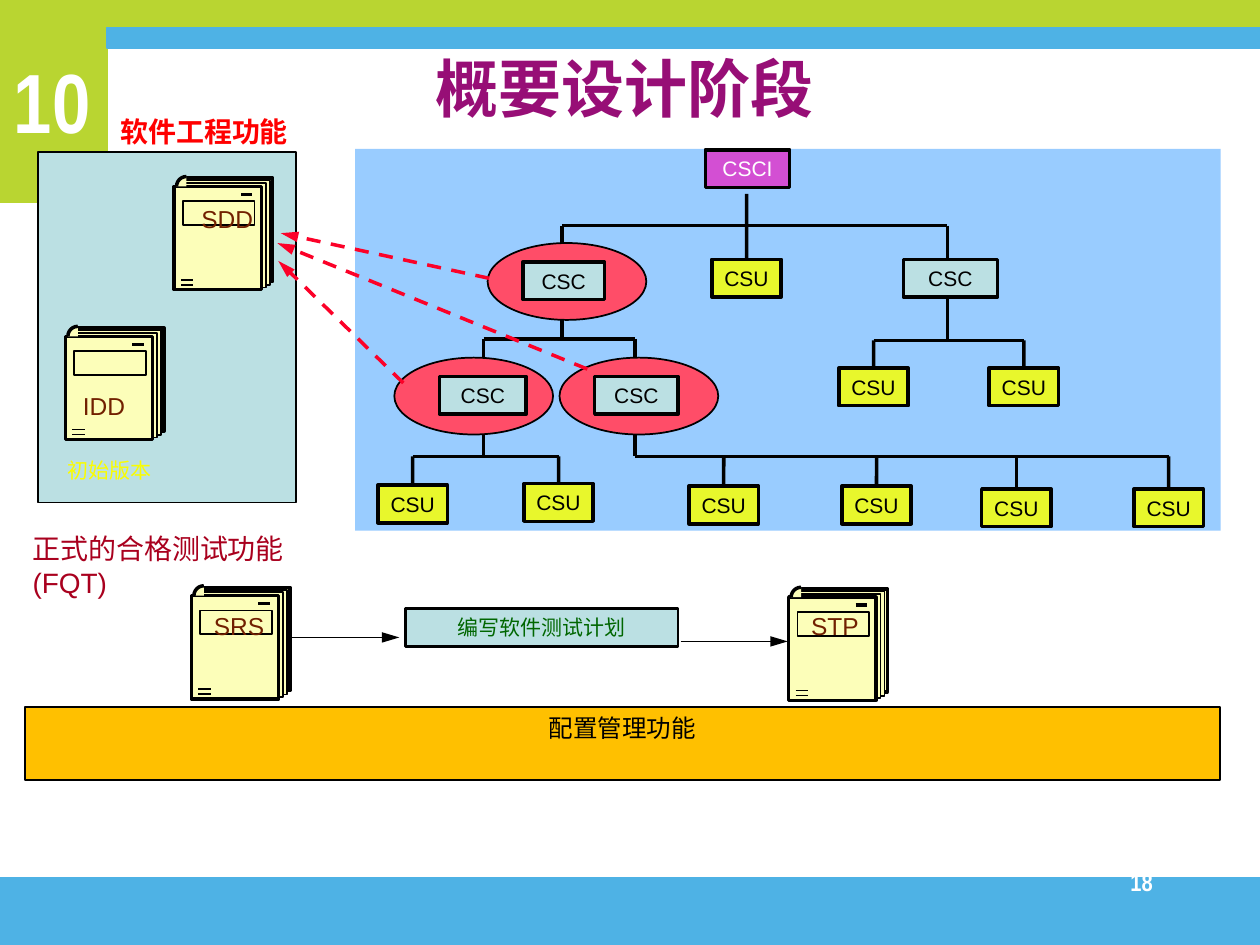
"""Build the preliminary design phase slide."""
import math

from pptx import Presentation
from pptx.dml.color import RGBColor
from pptx.enum.dml import MSO_LINE
from pptx.enum.shapes import MSO_CONNECTOR, MSO_SHAPE
from pptx.enum.text import MSO_ANCHOR, PP_ALIGN
from pptx.oxml.ns import qn
from pptx.util import Cm, Pt
from lxml import etree

RECTANGLE, OVAL = MSO_SHAPE.RECTANGLE, MSO_SHAPE.OVAL
STRAIGHT, DASH = MSO_CONNECTOR.STRAIGHT, MSO_LINE.DASH
TOP, MIDDLE = MSO_ANCHOR.TOP, MSO_ANCHOR.MIDDLE
LEFT, CENTER, RIGHT = PP_ALIGN.LEFT, PP_ALIGN.CENTER, PP_ALIGN.RIGHT

BLACK = RGBColor(0x00, 0x00, 0x00)
WHITE = RGBColor(0xFF, 0xFF, 0xFF)
LIME = RGBColor(0xB9, 0xD5, 0x31)
SKY = RGBColor(0x4E, 0xB2, 0xE5)
AMBER = RGBColor(0xFF, 0xC0, 0x00)
PLUM = RGBColor(0x97, 0x0E, 0x76)
RED = RGBColor(0xFF, 0x00, 0x00)
CRIMSON = RGBColor(0xA9, 0x00, 0x1E)
BROWN = RGBColor(0x71, 0x20, 0x00)
GREEN = RGBColor(0x00, 0x66, 0x00)
BRIGHT_YELLOW = RGBColor(0xFA, 0xFD, 0x00)
PAPER = RGBColor(0xFC, 0xFE, 0xB9)
PALE_TEAL = RGBColor(0xBB, 0xE0, 0xE3)
PALE_BLUE = RGBColor(0x99, 0xCC, 0xFF)
ORCHID = RGBColor(0xD3, 0x4F, 0xD3)
YELLOW = RGBColor(0xE8, 0xF7, 0x2C)
ROSE = RGBColor(0xFF, 0x4D, 0x68)
ARROW_RED = RGBColor(0xFC, 0x01, 0x28)

BOX_HEIGHT, CSU_WIDTH = 0.76, 1.4
FIRST_BUS, LEFT_BUS, RIGHT_BUS, LAST_BUS = 4.55, 6.83, 6.86, 9.2


def write_text(shape, text, size, color, align=LEFT, wrap=True, anchor=TOP,
               name="Arial", bold=False):
    """Put one formatted paragraph into a shape."""
    frame = shape.text_frame
    frame.word_wrap = wrap
    frame.vertical_anchor = anchor
    paragraph = frame.paragraphs[0]
    paragraph.alignment = align
    run = paragraph.add_run()
    run.text = text
    font_format = {"size": Pt(size), "name": name, "bold": bold}
    for attribute, value in font_format.items():
        setattr(run.font, attribute, value)
    run.font.color.rgb = color


def add_label(slide, left, top, width, height, text, size, color, **options):
    """Add a text box."""
    box = slide.shapes.add_textbox(Cm(left), Cm(top), Cm(width), Cm(height))
    write_text(box, text, size, color, **options)


def paint(shape, fill=None, line=None, weight=1):
    """Set the fill and outline of a shape and drop its shadow."""
    shape.shadow.inherit = False
    if fill is None:
        shape.fill.background()
    else:
        shape.fill.solid()
        shape.fill.fore_color.rgb = fill
    if line is None:
        shape.line.fill.background()
    else:
        shape.line.color.rgb = line
        shape.line.width = Pt(weight)


def add_block(slide, left, top, width, height, fill, line=BLACK, weight=1, kind=RECTANGLE):
    """Add a filled preset shape."""
    shape = slide.shapes.add_shape(kind, Cm(left), Cm(top), Cm(width), Cm(height))
    paint(shape, fill, line, weight)
    return shape


def add_box(slide, left, top, width, text, fill, color=BLACK, weight=2):
    """Add a captioned box of the common height."""
    box = add_block(slide, left, top, width, BOX_HEIGHT, fill, weight=weight)
    write_text(box, text, 12, color, align=CENTER, wrap=False)
    return box


def add_line(slide, start_x, start_y, end_x, end_y, color=BLACK, weight=2,
             arrow=False, dash=None):
    """Add a straight connector, with an arrowhead if wanted."""
    connector = slide.shapes.add_connector(
        STRAIGHT, Cm(start_x), Cm(start_y), Cm(end_x), Cm(end_y))
    connector.line.color.rgb = color
    connector.line.width = Pt(weight)
    if dash is not None:
        connector.line.dash_style = dash
    if arrow:
        outline = connector.line._get_or_add_ln()
        etree.SubElement(outline, qn("a:tailEnd"), type="triangle", len="lg")
    etree.SubElement(connector._element.spPr, qn("a:effectLst"))
    return connector


def add_csu(slide, center, top, line_top):
    """Add a CSU box with the line that drops to it."""
    box = add_box(slide, center - CSU_WIDTH / 2, top, CSU_WIDTH, "CSU", YELLOW)
    add_line(slide, center, line_top, center, top).end_connect(box, 0)


def add_curl(slide, left, top, radius=0.2):
    """Add the rounded page corner of a document."""
    angles = [math.radians(step * 15) for step in range(7)]
    arc = [(Cm(left + radius * (1 - math.cos(angle))),
            Cm(top + radius * (1 - math.sin(angle)))) for angle in angles]
    corner = (Cm(left + radius), Cm(top + radius))
    for points, closed, colors in (
            (arc + [corner], True, {"fill": PAPER}),
            (arc, False, {"line": BLACK, "weight": 2})):
        builder = slide.shapes.build_freeform(*points[0])
        builder.add_line_segments(points[1:], close=closed)
        paint(builder.convert_to_shape(), **colors)


def add_document(slide, left, top, text, label_x, label_y):
    """Add a stack of pages with a title window and a label."""
    pages = ((0.23, 0.03, 1.76, 2.08, 2), (0.13, 0.08, 1.8, 2.11, 1),
             (0.05, 0.13, 1.8, 2.11, 1), (0, 0.2, 1.76, 2.08, 2),
             (0.18, 0.5, 1.44, 0.48, 1))
    for x, y, width, height, weight in pages:
        add_block(slide, left + x, top + y, width, height, PAPER, weight=weight)
    add_curl(slide, left + 0.05, top)
    for x, y, length, weight in ((0.14, 2.18, 0.25, 1), (0.14, 2.08, 0.25, 1),
                                 (1.35, 0.36, 0.23, 2)):
        add_line(slide, left + x, top + y, left + x + length, top + y, weight=weight)
    add_label(slide, left + label_x, top + label_y, 1.9, 0.84, text, 14, BROWN, wrap=False)


def add_background(slide):
    """Add the coloured bands, the chapter number and the page number."""
    add_block(slide, 0, 0, 25.4, 4.06, LIME, LIME, 2)
    add_block(slide, 0, 17.7, 25.4, 1.35, SKY, SKY, 0.75)
    add_block(slide, 2.18, 0.94, 23.22, 3.4, WHITE, None)
    add_block(slide, 2.16, 0.56, 23.24, 0.41, SKY, SKY, 0.75)
    number = {"name": "Arial Narrow", "bold": True}
    add_label(slide, 0, 0.88, 2.11, 2.29, "10", 48, WHITE, align=CENTER, wrap=False, **number)
    add_label(slide, 18.21, 17.35, 5.28, 1.27, "18", 14, WHITE, align=RIGHT, **number)


def add_title(slide, text):
    """Place the title in front of the background."""
    title = slide.shapes.title
    slide.shapes.element.append(title.element)
    place = {"left": Cm(8.53), "top": Cm(0.86), "width": Cm(12.27), "height": Cm(1.8)}
    for attribute, value in place.items():
        setattr(title, attribute, value)
    write_text(title, text, 36, PLUM, anchor=MIDDLE, bold=True)


def add_component_tree(slide):
    """Add the tree of software components."""
    add_block(slide, 7.16, 3, 17.45, 7.7, PALE_BLUE, None)
    add_box(slide, 14.22, 3.02, 1.7, "CSCI", ORCHID, WHITE)
    for left, right, y in ((11.33, 19.1, FIRST_BUS), (9.75, 12.8, LEFT_BUS),
                           (17.61, 20.64, RIGHT_BUS), (8.32, 11.26, LAST_BUS),
                           (12.8, 23.56, LAST_BUS)):
        add_line(slide, left, y, right, y)
    for x, top, bottom in ((11.33, FIRST_BUS, LEFT_BUS), (19.1, FIRST_BUS, RIGHT_BUS),
                           (9.75, LEFT_BUS, LAST_BUS), (12.8, LEFT_BUS, LAST_BUS)):
        add_line(slide, x, top, x, bottom)
    for center, top, line_top in (
            (15.05, 5.23, 3.91), (17.61, 7.42, RIGHT_BUS), (20.64, 7.42, RIGHT_BUS),
            (8.32, 9.78, LAST_BUS), (11.26, 9.75, LAST_BUS), (14.59, 9.8, LAST_BUS),
            (17.67, 9.8, LAST_BUS), (20.49, 9.86, LAST_BUS), (23.56, 9.86, LAST_BUS)):
        add_csu(slide, center, top, line_top)
    for left, top in ((9.83, 4.9), (11.28, 7.21), (7.95, 7.21)):
        add_block(slide, left, top, 3.2, 1.55, ROSE, kind=OVAL)
    for left, top, width in ((18.21, 5.23, 1.9), (10.54, 5.28, 1.65),
                             (11.99, 7.59, 1.68), (8.86, 7.59, 1.75)):
        add_box(slide, left, top, width, "CSC", PALE_TEAL)


def main():
    """Build and save the presentation."""
    presentation = Presentation()
    presentation.slide_width, presentation.slide_height = Cm(25.4), Cm(19.05)
    slide = presentation.slides.add_slide(presentation.slide_layouts[5])
    add_background(slide)
    add_title(slide, "概要设计阶段")
    bar = add_block(slide, 0.51, 14.25, 24.08, 1.47, AMBER)
    write_text(bar, "配置管理功能", 14, BLACK, align=CENTER)
    add_block(slide, 0.76, 3.07, 5.21, 7.06, PALE_TEAL)
    add_component_tree(slide)
    for document in ((15.9, 11.84, "STP", 0.2, 0.36), (3.86, 11.81, "SRS", 0.2, 0.38),
                     (3.51, 3.56, "SDD", 0.3, 0.43), (1.32, 6.58, "IDD", 0.1, 1.17)):
        add_document(slide, *document)
    add_box(slide, 8.18, 12.27, 5.49, "编写软件测试计划", PALE_TEAL, GREEN, 1.5)
    add_label(slide, 2.18, 2.18, 3.94, 0.94, "软件工程功能", 16, RED, wrap=False, bold=True)
    add_label(slide, 0.41, 10.59, 6.35, 1.6, "正式的合格测试功能 (FQT)", 16, CRIMSON)
    add_label(slide, 1.12, 9.09, 2.3, 0.76, "初始版本", 12, BRIGHT_YELLOW, wrap=False)
    for x, y in ((5.89, 12.85), (13.72, 12.93)):
        add_line(slide, x, y, x + 2.16, y, weight=1, arrow=True)
    for ends in ((9.86, 5.61, 5.66, 4.7), (8.13, 7.72, 5.61, 5.26), (11.84, 7.44, 5.59, 4.9)):
        add_line(slide, *ends, color=ARROW_RED, arrow=True, dash=DASH)
    presentation.save("out.pptx")


if __name__ == "__main__":
    main()
